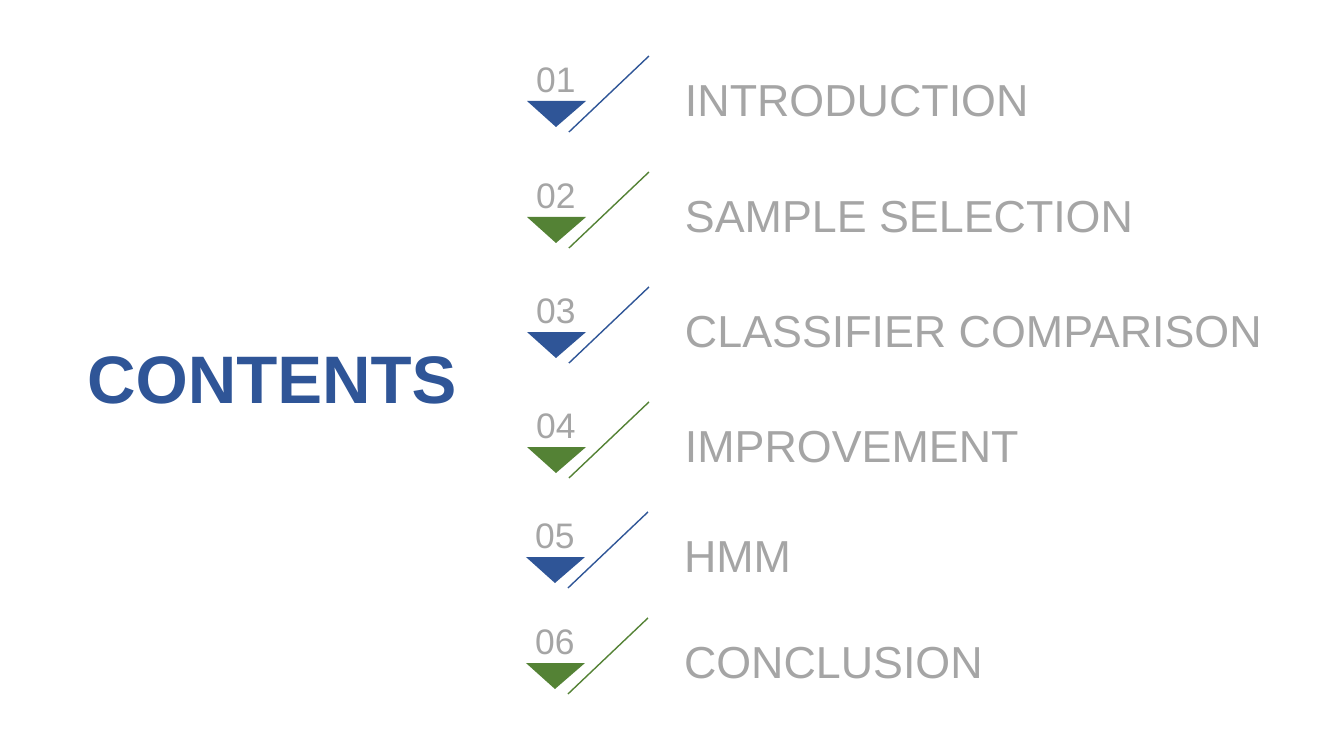
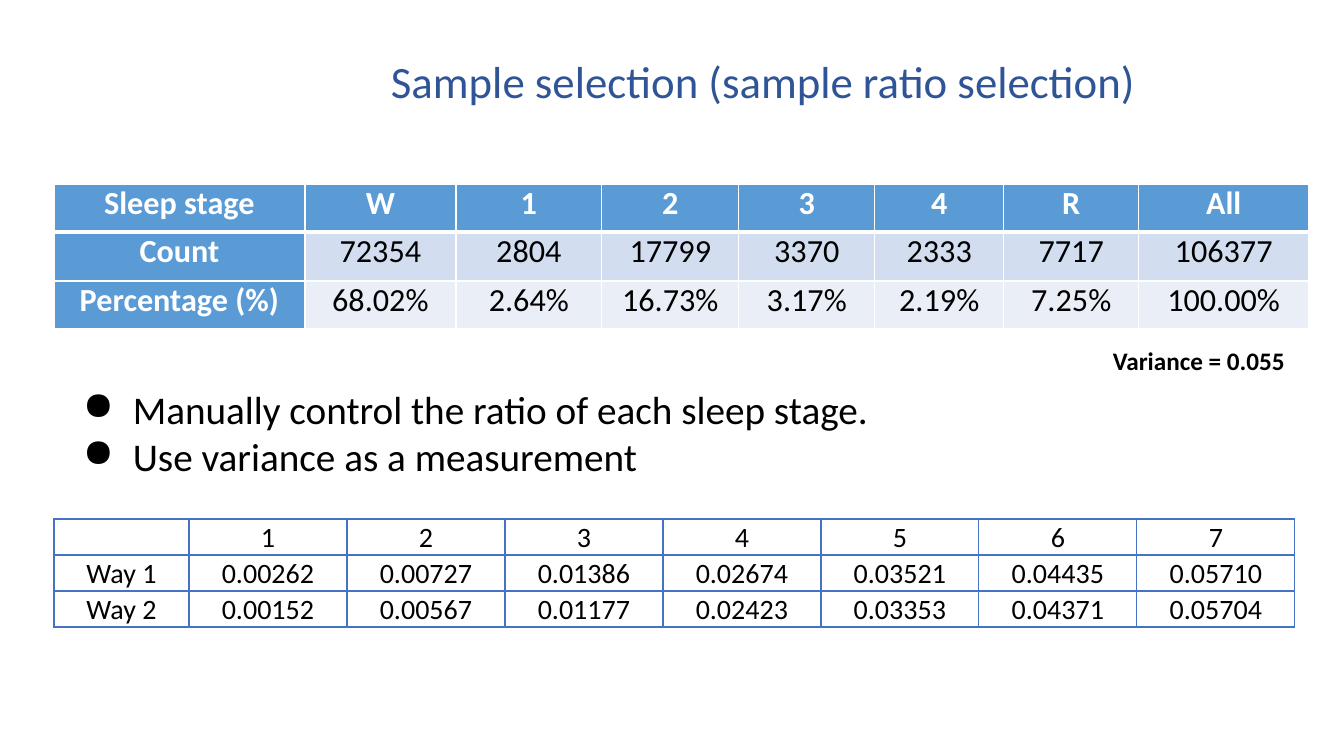
from lxml import etree
from pptx import Presentation
from pptx.dml.color import RGBColor
from pptx.enum.shapes import MSO_CONNECTOR
from pptx.enum.text import MSO_ANCHOR, MSO_AUTO_SIZE, PP_ALIGN
from pptx.oxml.ns import qn
from pptx.util import Pt

LEFT, CENTER = PP_ALIGN.LEFT, PP_ALIGN.CENTER
TOP, MIDDLE, BOTTOM = MSO_ANCHOR.TOP, MSO_ANCHOR.MIDDLE, MSO_ANCHOR.BOTTOM
GROW = MSO_AUTO_SIZE.SHAPE_TO_FIT_TEXT
STRAIGHT = MSO_CONNECTOR.STRAIGHT

SCALE = 914400 / 100.8
COLORS = {
    "blue": "2F5597", "green": "548235", "gray": "A5A5A5",
    "black": "000000", "white": "FFFFFF", "head": "5B9BD5",
    "band": "D2DEEF", "pale": "EAEFF7", "grid": "4472C4",
}
HEAD, BODY = "Arial", "Calibri"


def emu(px):
    """Turn pixels into EMU."""
    return round(px * SCALE)


def rgb(name):
    """Look up a named colour."""
    return RGBColor.from_string(COLORS[name])


class Deck:
    """Shared style and the current slide."""

    def __init__(self):
        """Start an empty deck."""
        self.prs = Presentation()
        self.prs.slide_width, self.prs.slide_height = emu(1344), emu(756)

    def page(self):
        """Add a blank slide and draw on it."""
        self.slide = self.prs.slides.add_slide(self.prs.slide_layouts[6])
        self.shapes = self.slide.shapes

    def group(self):
        """Draw on a new group of the slide."""
        self.shapes = self.slide.shapes.add_group_shape().shapes

    def leave(self):
        """Draw on the slide itself again."""
        self.shapes = self.slide.shapes

    def style(self, par, size, color, face, bold=False, align=LEFT):
        """Set the font and alignment of a paragraph."""
        par.alignment = align
        font = par.font
        font.size, font.name, font.bold = Pt(size), face, bold
        font.color.rgb = rgb(color)

    def label(self, box, text, size, color, anchor=MIDDLE, **look):
        """Add a text box without insets in the heading font."""
        frame = self.shapes.add_textbox(*map(emu, box)).text_frame
        frame.word_wrap, frame.vertical_anchor = True, anchor
        frame.margin_left = frame.margin_right = 0
        frame.margin_top = frame.margin_bottom = 0
        frame.text = text
        self.style(frame.paragraphs[0], size, color, HEAD, **look)

    def note(self, box, lines, size, color, bold=False, bullet=None):
        """Add a growing text box in the body font."""
        frame = self.shapes.add_textbox(*map(emu, box)).text_frame
        frame.word_wrap, frame.auto_size = True, GROW
        frame.text = "\n".join(lines)
        for par in frame.paragraphs:
            if bullet:
                props = par._p.get_or_add_pPr()
                props.set("marL", str(emu(50)))
                props.set("indent", str(-emu(50)))
                etree.SubElement(props, qn("a:buChar"), char=bullet)
            self.style(par, size, color, BODY, bold)

    def line(self, start, end, color):
        """Draw a thin straight line."""
        line = self.shapes.add_connector(STRAIGHT, *map(emu, start + end))
        line.line.color.rgb, line.line.width = rgb(color), Pt(1)
        etree.SubElement(line._element.spPr, qn("a:effectLst"))

    def shape(self, points, color):
        """Draw a filled outline through the points."""
        first, *rest = [(emu(x), emu(y)) for x, y in points]
        pen = self.shapes.build_freeform(*first)
        pen.add_line_segments(rest)
        shape = pen.convert_to_shape()
        shape.shadow.inherit = False
        shape.fill.solid()
        shape.fill.fore_color.rgb = rgb(color)
        shape.line.fill.background()

    def edges(self, cell, color, widths):
        """Set the left, right, top and bottom borders of a cell."""
        props = cell._tc.get_or_add_tcPr()
        for spot, (side, width) in enumerate(zip("LRTB", widths)):
            edge = etree.Element(qn("a:ln" + side), w=str(Pt(width)))
            fill = etree.SubElement(edge, qn("a:solidFill"))
            etree.SubElement(fill, qn("a:srgbClr"), val=COLORS[color])
            props.insert(spot, edge)

    def table(self, spot, cols, heights, rows, look):
        """Add a table; look(row, col) gives the style of a cell."""
        size = sum(cols), sum(heights)
        frame = self.shapes.add_table(len(rows), len(cols),
                                      *map(emu, spot + size))
        table = frame.table
        table.first_row = table.horz_banding = False
        for col, width in zip(table.columns, cols):
            col.width = emu(width)
        for r, (row, height) in enumerate(zip(rows, heights)):
            table.rows[r].height = emu(height)
            for c, text in enumerate(row):
                self.cell(table.cell(r, c), text, **look(r, c))

    def cell(self, cell, text, size, color, pads, edge, widths,
             fill=None, bold=False, anchor=TOP):
        """Fill and style one table cell."""
        cell.text, cell.vertical_anchor = text, anchor
        cell.margin_left = cell.margin_right = emu(pads[0])
        cell.margin_top, cell.margin_bottom = emu(pads[1]), 0
        self.style(cell.text_frame.paragraphs[0], size, color, BODY,
                   bold, CENTER)
        if fill:
            cell.fill.solid()
            cell.fill.fore_color.rgb = rgb(fill)
        else:
            cell.fill.background()
        self.edges(cell, edge, widths)


def item(deck, num, x, y, width, text):
    """Draw one numbered entry of the contents."""
    color = "blue" if num % 2 else "green"
    deck.leave()
    deck.label((x + 158, y + 16, width, 54), text, 32, "gray")
    deck.group()
    deck.line((x + 122, y), (x + 42, y + 76), color)
    deck.shape([(x, y + 45), (x + 59, y + 45), (x + 29, y + 71)], color)
    deck.label((x - 2, y + 1, 62, 43), f"{num:02}", 25.3, "gray",
               BOTTOM, align=CENTER)


def contents(deck):
    """Build the contents slide."""
    deck.page()
    items = [
        (527, 56, 420, "INTRODUCTION"),
        (527, 172, 461, "SAMPLE SELECTION"),
        (527, 287, 582, "CLASSIFIER COMPARISON"),
        (527, 402, 338, "IMPROVEMENT"),
        (526, 512, 582, "HMM"),
        (526, 618, 338, "CONCLUSION"),
    ]
    for num, entry in enumerate(items, 1):
        item(deck, num, *entry)
    deck.leave()
    deck.label((60, 321, 424, 112), "CONTENTS", 48, "blue",
               bold=True, align=CENTER)


def stage(row, col):
    """Style a cell of the sleep stage table."""
    head = row == 0 or col == 0
    return dict(
        size=23, color="white" if head else "black", bold=head,
        fill="head" if head else ("band", "pale")[row - 1],
        pads=(19, 0), edge="white",
        widths=(1, 1, 3 if row == 1 else 1, 1 if row else 3))


def ways(row, col):
    """Style a cell of the variance table."""
    return dict(size=20, color="black", pads=(2, 2), edge="grid",
                widths=(1, 1, 1, 1), anchor=BOTTOM)


def sample(deck):
    """Build the sample ratio slide."""
    deck.page()
    deck.note((381, 49, 806, 65),
              ["Sample selection (sample ratio selection)"], 32, "blue")
    deck.table((54, 184), (251, 151, 146, 137, 136, 129, 135, 170),
               (48, 49, 48), [
        ("Sleep stage", "W", "1", "2", "3", "4", "R", "All"),
        ("Count", "72354", "2804", "17799", "3370", "2333", "7717",
         "106377"),
        ("Percentage (%)", "68.02%", "2.64%", "16.73%", "3.17%", "2.19%",
         "7.25%", "100.00%"),
    ], stage)
    deck.note((1103, 340, 207, 40), ["Variance = 0.055"], 18, "black",
              bold=True)
    deck.note((73, 380, 813, 105), [
        "Manually control the ratio of each sleep stage.",
        "Use variance as a measurement",
    ], 28, "black", bullet="●")
    deck.table((54, 519), (135,) + (158,) * 7, (36,) * 3, [
        ("", "1", "2", "3", "4", "5", "6", "7"),
        ("Way 1", "0.00262", "0.00727", "0.01386", "0.02674", "0.03521",
         "0.04435", "0.05710"),
        ("Way 2", "0.00152", "0.00567", "0.01177", "0.02423", "0.03353",
         "0.04371", "0.05704"),
    ], ways)


deck = Deck()
contents(deck)
sample(deck)
deck.prs.save("out.pptx")
